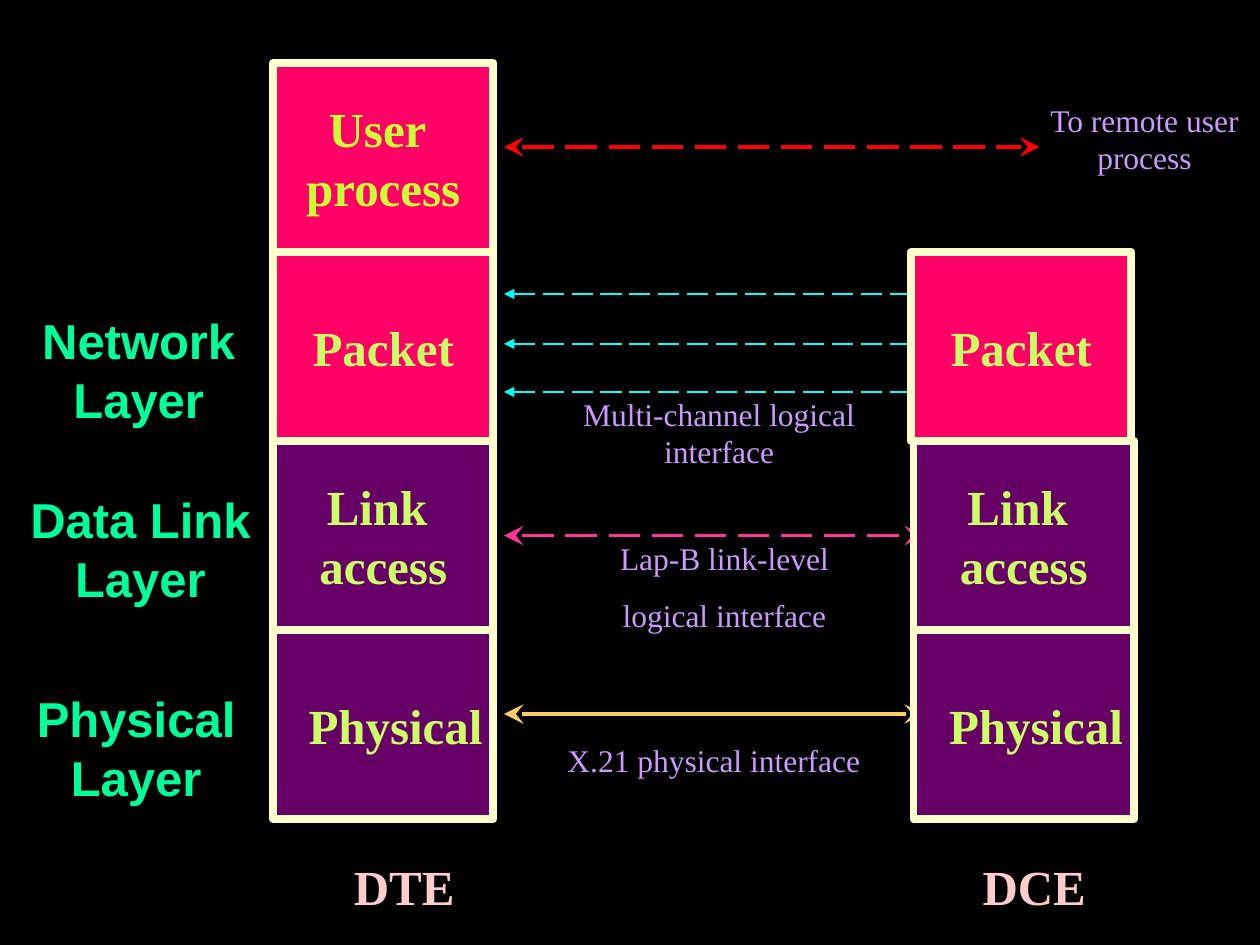
from lxml.etree import SubElement
from pptx import Presentation
from pptx.dml.color import RGBColor
from pptx.enum.dml import MSO_LINE
from pptx.enum.shapes import MSO_CONNECTOR, MSO_SHAPE
from pptx.enum.text import MSO_ANCHOR, MSO_AUTO_SIZE, PP_ALIGN
from pptx.oxml.ns import qn
from pptx.util import Pt

BLACK = RGBColor(0x00, 0x00, 0x00)
RED = RGBColor(0xFF, 0x00, 0x00)
CYAN = RGBColor(0x00, 0xFF, 0xFF)
PINK = RGBColor(0xFF, 0x33, 0x99)
GOLD = RGBColor(0xFF, 0xCC, 0x66)
GREEN = RGBColor(0x00, 0xFF, 0x99)
LILAC = RGBColor(0xCC, 0x99, 0xFF)
ROSE = RGBColor(0xFF, 0xCC, 0xCC)
CREAM = RGBColor(0xFF, 0xFF, 0xCC)
MAGENTA = RGBColor(0xFF, 0x00, 0x66)
PURPLE = RGBColor(0x66, 0x00, 0x66)
LIME = RGBColor(0xCC, 0xFF, 0x33)
PALE_LIME = RGBColor(0xCC, 0xFF, 0x66)

SERIF, SANS = "Times New Roman", "Arial"
BOX_WIDTH, BOX_HEIGHT = 126, 108
ARROW_LEFT, ARROW_RIGHT = 288, 528


def write_lines(frame, lines, font_name, size, color, bold, gap=0):
    """Fill a text frame with centred paragraphs, gap points apart."""
    for index, line in enumerate(lines):
        paragraph = frame.add_paragraph() if index else frame.paragraphs[0]
        paragraph.text = line
        paragraph.alignment = PP_ALIGN.CENTER
        if index and gap:
            paragraph.space_before = Pt(gap)
        paragraph.font.name = font_name
        paragraph.font.size = Pt(size)
        paragraph.font.bold = bold
        paragraph.font.color.rgb = color


def add_label(shapes, bounds, lines, font_name, size, color, bold):
    label = shapes.add_textbox(*map(Pt, bounds))
    label.text_frame.word_wrap = True
    label.text_frame.auto_size = MSO_AUTO_SIZE.SHAPE_TO_FIT_TEXT
    write_lines(label.text_frame, lines, font_name, size, color, bold, gap=11.2)


presentation = Presentation()
presentation.slide_width, presentation.slide_height = Pt(720), Pt(540)
slide = presentation.slides.add_slide(presentation.slide_layouts[6])
slide.background.fill.solid()
slide.background.fill.fore_color.rgb = BLACK

# Interfaces between the two stacks: y, right end, colour, width, dashed, head, head size
interfaces = [
    (84, 594, RED, 2.25, True, "stealth", "lg"),
    (168, ARROW_RIGHT, CYAN, 1.5, True, "triangle", "med"),
    (196.5, ARROW_RIGHT, CYAN, 1.5, True, "triangle", "med"),
    (224, ARROW_RIGHT, CYAN, 1.5, True, "triangle", "med"),
    (306, ARROW_RIGHT, PINK, 2.25, True, "stealth", "lg"),
    (408, ARROW_RIGHT, GOLD, 2.25, False, "stealth", "lg"),
]
for y, right, color, width, dashed, head, head_size in interfaces:
    arrow = slide.shapes.add_connector(
        MSO_CONNECTOR.STRAIGHT, Pt(ARROW_LEFT), Pt(y), Pt(right), Pt(y))
    arrow.line.color.rgb = color
    arrow.line.width = Pt(width)
    if dashed:
        arrow.line.dash_style = MSO_LINE.LONG_DASH
    properties = arrow.line._get_or_add_ln()
    for end in ("a:headEnd", "a:tailEnd"):
        SubElement(properties, qn(end), type=head, w=head_size, len=head_size)
    SubElement(arrow._element.spPr, qn("a:effectLst"))

layer_names = [
    ((-8.5, 174, 175.5, 75), "Network Layer"),
    ((-19.5, 276, 199.5, 75), "Data Link Layer"),
    ((-10, 390, 175.5, 75), "Physical Layer"),
]
for bounds, name in layer_names:
    add_label(slide.shapes, bounds, [name], SANS, 28, GREEN, True)

interface_names = [
    ((588, 54, 132, 50), ["To remote user process"]),
    ((306, 222, 210, 50), ["Multi-channel logical interface"]),
    ((312, 304.5, 204, 62), ["Lap-B link-level", "logical interface"]),
    ((300, 420, 216, 29), ["X.21 physical interface"]),
]
for bounds, lines in interface_names:
    add_label(slide.shapes, bounds, lines, SERIF, 18, LILAC, False)

# Stacks of layers: lines, fill, text colour, left inset, right inset
user = (["User ", "process"], MAGENTA, LIME, 7.2, 7.2)
packet = (["Packet"], MAGENTA, PALE_LIME, 7.2, 7.2)
link = (["Link ", "access"], PURPLE, PALE_LIME, 7.2, 7.2)
physical = (["Physical"], PURPLE, PALE_LIME, 14, 0)
stacks = [
    ("DTE", 174, 36, [(156, user), (156, packet), (156, link), (156, physical)]),
    ("DCE", 534, 144, [(520.5, packet), (522, link), (522, physical)]),
]
for stack_name, name_left, top, layers in stacks:
    stack = slide.shapes.add_group_shape()
    for row, (left, layer) in enumerate(layers):
        lines, fill, color, left_inset, right_inset = layer
        box = stack.shapes.add_shape(
            MSO_SHAPE.RECTANGLE, Pt(left), Pt(top + row * BOX_HEIGHT),
            Pt(BOX_WIDTH), Pt(BOX_HEIGHT))
        box.shadow.inherit = False
        box.fill.solid()
        box.fill.fore_color.rgb = fill
        box.line.color.rgb = CREAM
        box.line.width = Pt(4.5)
        frame = box.text_frame
        frame.word_wrap = False
        frame.vertical_anchor = MSO_ANCHOR.MIDDLE
        frame.margin_left, frame.margin_right = Pt(left_inset), Pt(right_inset)
        write_lines(frame, lines, SERIF, 28, color, True)
    add_label(stack.shapes, (name_left, 486, 114, 41), [stack_name],
              SERIF, 28, ROSE, True)

presentation.save("out.pptx")
